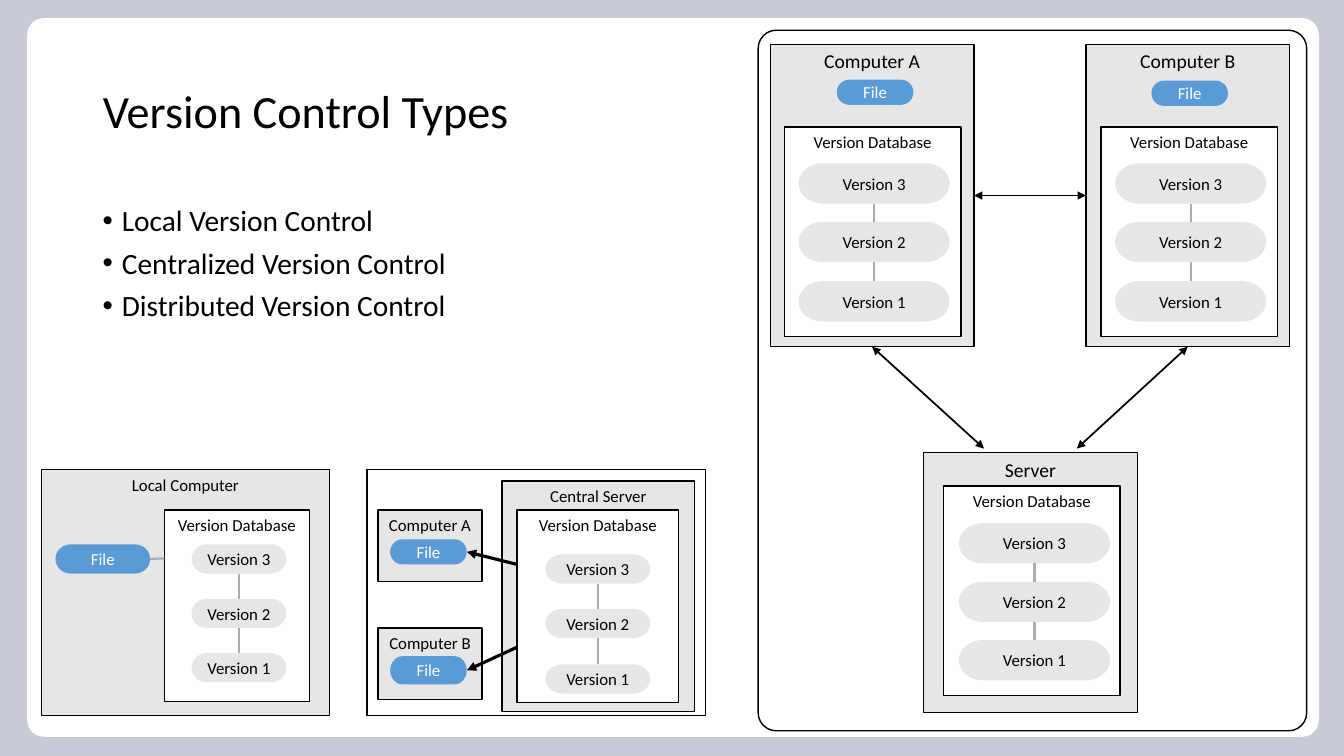
from dataclasses import dataclass

from lxml import etree
from pptx import Presentation
from pptx.dml.color import RGBColor
from pptx.enum.shapes import MSO_CONNECTOR, MSO_SHAPE
from pptx.enum.text import MSO_ANCHOR, MSO_AUTO_SIZE, PP_ALIGN
from pptx.oxml.ns import qn
from pptx.util import Inches, Pt

RECT = MSO_SHAPE.RECTANGLE
ROUND = MSO_SHAPE.ROUNDED_RECTANGLE
PILL = MSO_SHAPE.FLOWCHART_TERMINATOR
STRAIGHT = MSO_CONNECTOR.STRAIGHT
TOP, MIDDLE = MSO_ANCHOR.TOP, MSO_ANCHOR.MIDDLE
LEFT, CENTER = PP_ALIGN.LEFT, PP_ALIGN.CENTER
FIXED = MSO_AUTO_SIZE.NONE
SITE_TOP, SITE_LEFT, SITE_BOTTOM, SITE_RIGHT = range(4)


@dataclass(frozen=True)
class Theme:
    font: str = "Calibri"
    backdrop: RGBColor = RGBColor.from_string("C8CAD5")
    white: RGBColor = RGBColor.from_string("FFFFFF")
    black: RGBColor = RGBColor.from_string("000000")
    gray: RGBColor = RGBColor.from_string("E7E6E6")
    joint: RGBColor = RGBColor.from_string("AFABAB")
    blue: RGBColor = RGBColor.from_string("5B9BD5")
    title: int = 33
    bullet: int = 21
    host: int = 14
    label: int = 12


T = Theme()
COLS, ROWS = 1333, 750

prs = Presentation()
prs.slide_width, prs.slide_height = Inches(13.33), Inches(7.5)
COL, ROW = prs.slide_width // COLS, prs.slide_height // ROWS
s = prs.slides.add_slide(prs.slide_layouts[5])
s.background.fill.solid()
s.background.fill.fore_color.rgb = T.backdrop


def box(kind, area, fill, text="", size=T.label, color=T.black, outlined=True):
    x, y, w, h = area
    sp = s.shapes.add_shape(kind, x * COL, y * ROW, w * COL, h * ROW)
    sp.shadow.inherit = False
    sp.fill.solid()
    sp.fill.fore_color.rgb = fill
    if outlined:
        sp.line.color.rgb = T.black
        sp.line.width = Pt(1)
    else:
        sp.line.fill.background()
    if text:
        tf = sp.text_frame
        tf.word_wrap = True
        tf.margin_left = tf.margin_right = 0
        tf.vertical_anchor = MIDDLE if kind == PILL else TOP
        if kind == PILL:
            tf.margin_top = tf.margin_bottom = 0
        p = tf.paragraphs[0]
        p.alignment = CENTER
        r = p.add_run()
        r.text = text
        r.font.name, r.font.size, r.font.color.rgb = T.font, Pt(size), color
    return sp


def link(start, end, color, width, heads=()):
    points = [e if isinstance(e[0], int) else (0, 0) for e in (start, end)]
    (x1, y1), (x2, y2) = points
    c = s.shapes.add_connector(STRAIGHT, x1 * COL, y1 * ROW, x2 * COL, y2 * ROW)
    if not isinstance(start[0], int):
        c.begin_connect(*start)
    if not isinstance(end[0], int):
        c.end_connect(*end)
    c.line.color.rgb = color
    c.line.width = Pt(width)
    props = c.element.find(qn("p:spPr"))
    for head in heads:
        etree.SubElement(props.find(qn("a:ln")), qn(head), type="triangle")
    etree.SubElement(props, qn("a:effectLst"))


card = box(ROUND, (27, 18, 1281, 713), T.white, outlined=False)
card.adjustments[0] = 0.023
s.shapes._spTree.insert(2, card.element)

title = s.shapes.title
title.left, title.top, title.width, title.height = 92 * COL, 40 * ROW, 1150 * COL, 145 * ROW
tf = title.text_frame
tf.auto_size, tf.word_wrap, tf.vertical_anchor = FIXED, True, MIDDLE
p = tf.paragraphs[0]
p.alignment, p.line_spacing = LEFT, 0.9
r = p.add_run()
r.text = "Version Control Types"
r.font.name, r.font.size, r.font.color.rgb = T.font, Pt(T.title), T.black

types = ["Local Version Control", "Centralized Version Control", "Distributed Version Control"]
tf = s.shapes.add_textbox(92 * COL, 200 * ROW, 544 * COL, 213 * ROW).text_frame
tf.word_wrap = True
for i, name in enumerate(types):
    p = tf.add_paragraph() if i else tf.paragraphs[0]
    p.line_spacing, p.space_before = 0.9, Pt(7.5)
    pPr = p._p.get_or_add_pPr()
    pPr.set("marL", str(19 * COL))
    pPr.set("indent", str(-19 * COL))
    etree.SubElement(pPr, qn("a:buFont"), typeface="Arial")
    etree.SubElement(pPr, qn("a:buChar"), char="•")
    r = p.add_run()
    r.text = name
    r.font.name, r.font.size, r.font.color.rgb = T.font, Pt(T.bullet), T.black

box(RECT, (364, 466, 336, 244), T.white)
box(ROUND, (752, 30, 544, 695), T.white).adjustments[0] = 0.033

hosts = [
    ("Local Computer", T.label, (41, 466, 286, 244)),
    ("Central Server", T.label, (498, 477, 191, 229)),
    ("Computer A", T.label, (375, 506, 103, 71)),
    ("Computer B", T.label, (375, 623, 103, 71)),
    ("Server", T.host, (916, 449, 212, 258)),
    ("Computer A", T.host, (764, 44, 202, 300)),
    ("Computer B", T.host, (1077, 44, 202, 300)),
]
local, central, client_a, client_b, server, peer_a, peer_b = [
    box(RECT, area, T.gray, name, size) for name, size, area in hosts
]

file_areas = [
    (55, 540, 94, 29),
    (387, 535, 76, 25),
    (387, 651, 76, 28),
    (830, 79, 76, 25),
    (1142, 80, 76, 25),
]
files = [box(PILL, area, T.blue, "File", color=T.white, outlined=False) for area in file_areas]

databases = [
    ((163, 506, 144, 190), (190, 540, 94, 29), 54),
    ((513, 506, 160, 191), (541, 550, 104, 29), 54.5),
    ((936, 482, 175, 208), (951, 519, 150, 40), 58),
    ((778, 126, 175, 208), (792, 162, 150, 40), 58.5),
    ((1092, 126, 175, 208), (1106, 162, 150, 40), 58.5),
]
for area, (x, y, w, h), step in databases:
    box(RECT, area, T.white, "Version Database")
    versions = [
        box(PILL, (x, round(y + i * step), w, h), T.gray, f"Version {3 - i}", outlined=False)
        for i in range(3)
    ]
    for upper, lower in zip(versions, versions[1:]):
        link((upper, SITE_BOTTOM), (lower, SITE_TOP), T.joint, 1.5)

link((files[0], SITE_RIGHT), (163, 554), T.joint, 1.5)
for y, client_file in zip((560, 642), files[1:3]):
    link((513, y), (client_file, SITE_RIGHT), T.black, 2.25, ["a:tailEnd"])

syncs = [
    ((1068, 445), (peer_b, SITE_BOTTOM)),
    ((peer_b, SITE_LEFT), (peer_a, SITE_RIGHT)),
    ((peer_a, SITE_BOTTOM), (976, 445)),
]
for start, end in syncs:
    link(start, end, T.black, 1.25, ["a:headEnd", "a:tailEnd"])

prs.save("out.pptx")
